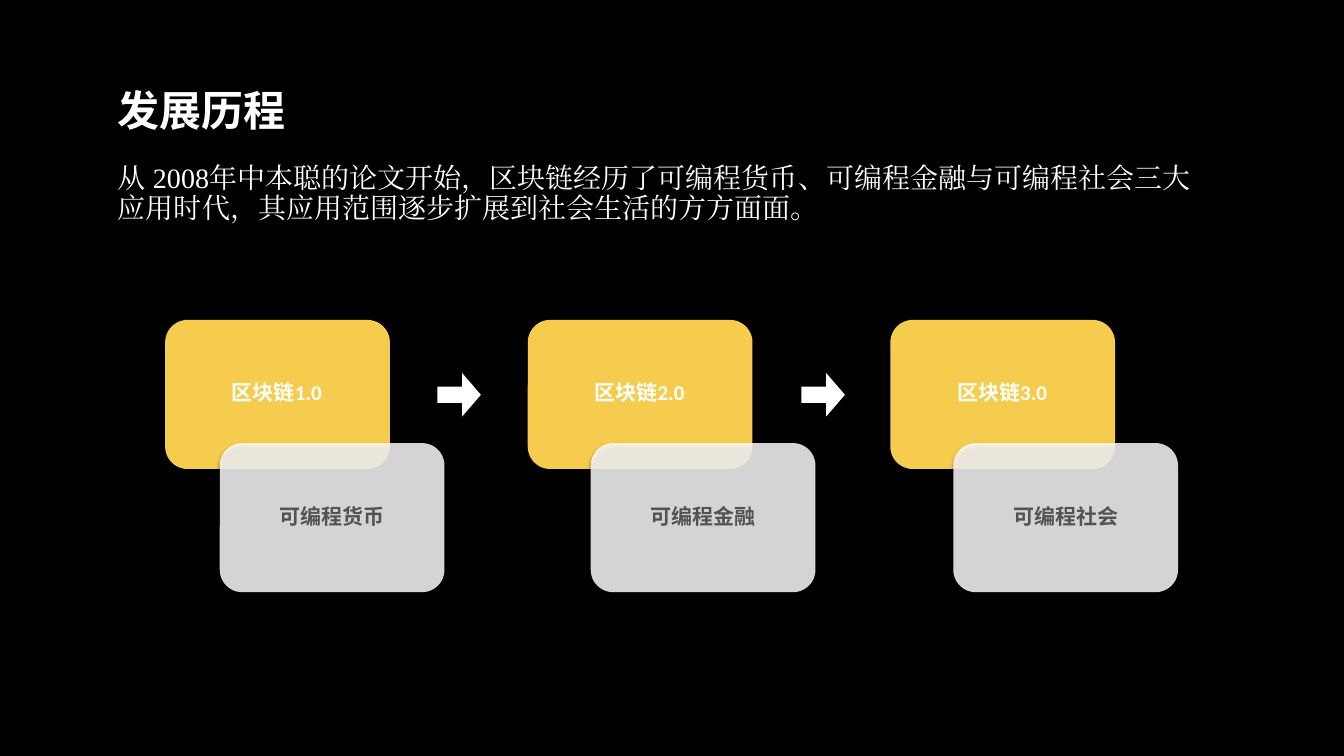
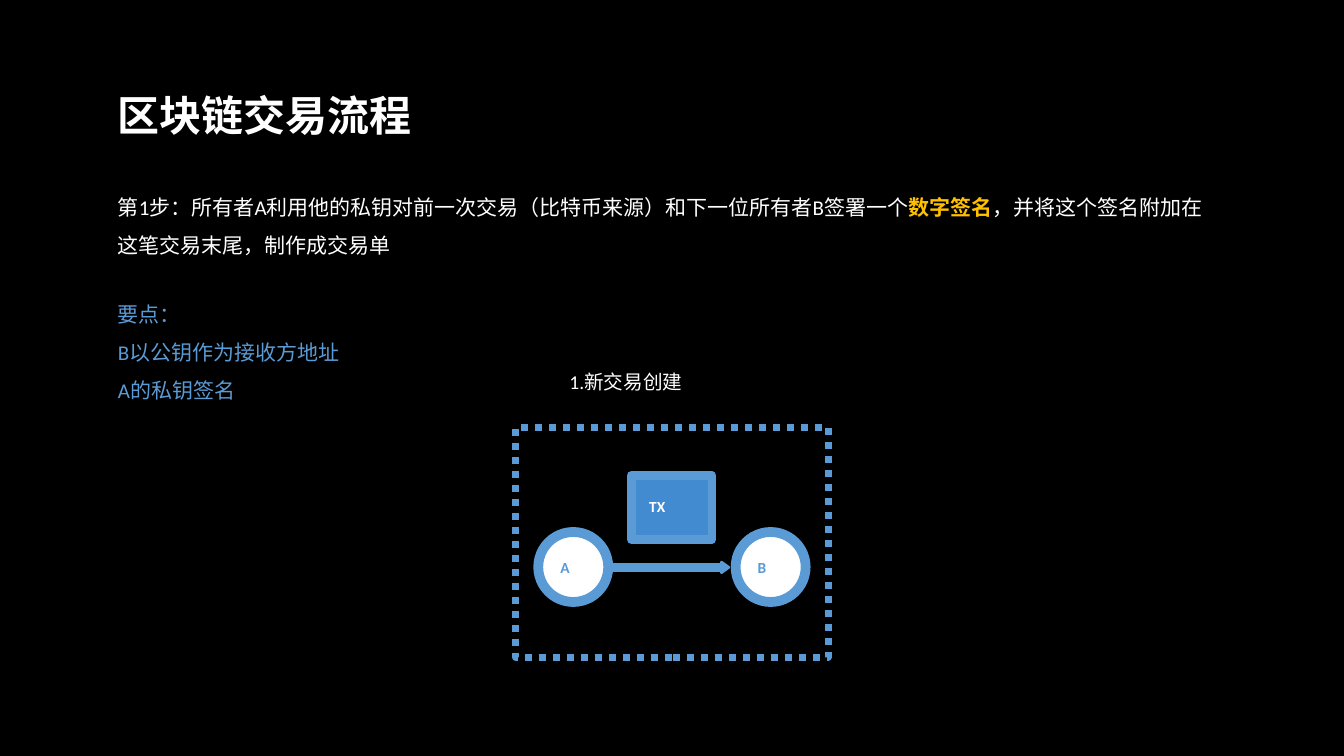
from dataclasses import dataclass

from lxml import etree
from pptx import Presentation
from pptx.dml.color import RGBColor
from pptx.enum.dml import MSO_LINE
from pptx.enum.shapes import MSO_CONNECTOR, MSO_SHAPE
from pptx.enum.text import MSO_ANCHOR, MSO_AUTO_SIZE, PP_ALIGN
from pptx.oxml.ns import qn
from pptx.util import Pt

LEFT, MIDDLE, FIXED = PP_ALIGN.LEFT, MSO_ANCHOR.MIDDLE, MSO_AUTO_SIZE.NONE
RECT, ROUND, OVAL = MSO_SHAPE.RECTANGLE, MSO_SHAPE.ROUNDED_RECTANGLE, MSO_SHAPE.OVAL
ARROW, STRAIGHT, DOTS = MSO_SHAPE.RIGHT_ARROW, MSO_CONNECTOR.STRAIGHT, MSO_LINE.ROUND_DOT


@dataclass(frozen=True)
class Theme:
    black: str = "000000"
    white: str = "FFFFFF"
    card: str = "F5CC4E"
    gray: str = "535353"
    blue: str = "5B9BD5"
    deep: str = "428BD0"
    gold: str = "FFC000"
    sans: str = "Calibri"
    serif: str = "Times New Roman"
    cjk: str = "Noto Sans CJK SC"
    title: int = 30
    lead: int = 20
    body: int = 15
    note: int = 14
    mark: int = 11
    inset: float = 2.2
    margin: int = 82


T = Theme()

HISTORY = "发展历程"
INTRO = "从 2008年中本聪的论文开始，区块链经历了可编程货币、可编程金融与可编程社会三大应用时代，其应用范围逐步扩展到社会生活的方方面面。"
STAGES = [
    ("区块链1.0", "可编程货币", 39),
    ("区块链2.0", "可编程金融", 45),
    ("区块链3.0", "可编程社会", 45),
]
CARD = (160.5, 106.5)
START, STEP, TOP, DROP = 118, 259, 228.5, 88

FLOW = "区块链交易流程"
FIRST = [
    ("第1步：所有者A利用他的私钥对前一次交易（比特币来源）和下一位所有者B签署一个", T.white, False),
    ("数字签名", T.gold, True),
    ("，并将这个签名附加在这笔交易末尾，制作成交易单", T.white, False),
]
POINTS = ["要点：", "B以公钥作为接收方地址", "A的私钥签名"]
CREATE = "1.新交易创建"
OWNERS = [("A", 384.5), ("B", 525.5)]
RING, RING_TOP, AXIS = 50, 380, 405.4


def color(code):
    return RGBColor.from_string(code)


def style(run, size, code, bold=False, font=T.sans):
    run.font.size = Pt(size)
    run.font.bold = bold
    run.font.name = font
    run.font.color.rgb = color(code)
    east = etree.SubElement(run.font._element, qn("a:ea"))
    east.set("typeface", font)


def setup(frame):
    frame.word_wrap = True
    frame.auto_size = FIXED
    frame.vertical_anchor = MIDDLE
    frame.margin_left = frame.margin_right = Pt(T.inset)
    frame.margin_top = frame.margin_bottom = Pt(T.inset)


def write(slide, box, rows, size, spacing=1.0, font=T.sans):
    frame = slide.shapes.add_textbox(*map(Pt, box)).text_frame
    setup(frame)
    for i, row in enumerate(rows):
        para = frame.add_paragraph() if i else frame.paragraphs[0]
        para.line_spacing = spacing
        for text, code, bold in row:
            run = para.add_run()
            run.text = text
            style(run, size, code, bold, font)


def shade(shape, alpha):
    effects = shape._element.spPr.find(qn("a:effectLst"))
    shadow = etree.SubElement(effects, qn("a:outerShdw"), blurRad=str(Pt(3)),
                              dist=str(Pt(2)), dir="5400000", rotWithShape="0")
    tone = etree.SubElement(shadow, qn("a:srgbClr"), val=T.black)
    etree.SubElement(tone, qn("a:alpha"), val=str(alpha * 1000))


def draw(slide, kind, box, fill=None, line=None, width=0, adjust=(), shadow=0):
    shape = slide.shapes.add_shape(kind, *map(Pt, box))
    shape.shadow.inherit = False
    if fill:
        shape.fill.solid()
        shape.fill.fore_color.rgb = color(fill)
    else:
        shape.fill.background()
    if line:
        shape.line.color.rgb = color(line)
        shape.line.width = Pt(width)
    else:
        shape.line.fill.background()
    for i, value in enumerate(adjust):
        shape.adjustments[i] = value
    if shadow:
        shade(shape, shadow)
    return shape


def fade(shape, alpha):
    tone = shape._element.spPr.find(qn("a:solidFill"))[0]
    etree.SubElement(tone, qn("a:alpha"), val=str(alpha * 1000))


def start(deck, text, top, font):
    slide = deck.slides.add_slide(deck.slide_layouts[5])
    title = slide.shapes.title
    title.left, title.top, title.width, title.height = map(Pt, (T.margin, top, 790, 37))
    frame = title.text_frame
    setup(frame)
    frame.text = text
    para = frame.paragraphs[0]
    para.alignment = LEFT
    para.line_spacing = 0.9
    style(para.runs[0], T.title, T.white, True, font)
    return slide


def history(deck):
    slide = start(deck, HISTORY, 62.5, T.cjk)
    write(slide, (T.margin, 115, 790, 48), [[(INTRO, T.white, False)]], T.lead, 0.9, T.serif)
    for i, (name, use, shift) in enumerate(STAGES):
        x = START + i * STEP
        draw(slide, ROUND, (x, TOP, *CARD), T.card, adjust=[0.15], shadow=50)
        write(slide, (x + 45.5, TOP + 43, 69, 20), [[(name, T.white, True)]], T.body, 0.9)
        x, y = x + shift, TOP + DROP
        fade(draw(slide, ROUND, (x, y, *CARD), T.white, adjust=[0.15], shadow=54), 83)
        write(slide, (x + 40.5, y + 43, 82, 20), [[(use, T.gray, True)]], T.body, 0.9)
    for i in range(len(STAGES) - 1):
        draw(slide, ARROW, (312.5 + i * 260, 266.5, 31, 31), T.white,
             adjust=[0.37, 0.43], shadow=50)


def flow(deck):
    slide = start(deck, FLOW, 66, T.sans)
    write(slide, (T.margin, 128, 788, 58), [FIRST], T.body, 1.5)
    write(slide, (T.margin, 204, 788, 86), [[(text, T.blue, False)] for text in POINTS],
          T.body, 1.5)
    write(slide, (404.5, 262, 86, 21), [[(CREATE, T.white, False)]], T.note)
    draw(slide, RECT, (368.5, 305.5, 223, 164), line=T.blue, width=5).line.dash_style = DOTS
    for name, x in OWNERS:
        draw(slide, OVAL, (x, RING_TOP, RING, RING), T.white, T.blue, 7, shadow=50)
        write(slide, (x + 13.5, 396.5, 24, 17), [[(name, T.blue, True)]], T.mark)
    link = slide.shapes.add_connector(STRAIGHT, Pt(433), Pt(AXIS), Pt(514), Pt(AXIS))
    link.line.color.rgb = color(T.blue)
    link.line.width = Pt(6)
    etree.SubElement(link._element.spPr, qn("a:effectLst"))
    draw(slide, RECT, (451, 339.5, 57.5, 46), T.deep, T.blue, 6, shadow=50)
    write(slide, (461.5, 353.5, 30, 17), [[("TX", T.white, True)]], T.mark)
    draw(slide, ARROW, (513, 401.5, 7.5, 7.5), T.blue, T.blue, 2, [0.28, 0.69])


def main():
    deck = Presentation()
    deck.slide_width, deck.slide_height = Pt(960), Pt(540)
    back = deck.slide_master.background.fill
    back.solid()
    back.fore_color.rgb = color(T.black)
    history(deck)
    flow(deck)
    deck.save("out.pptx")


if __name__ == "__main__":
    main()
